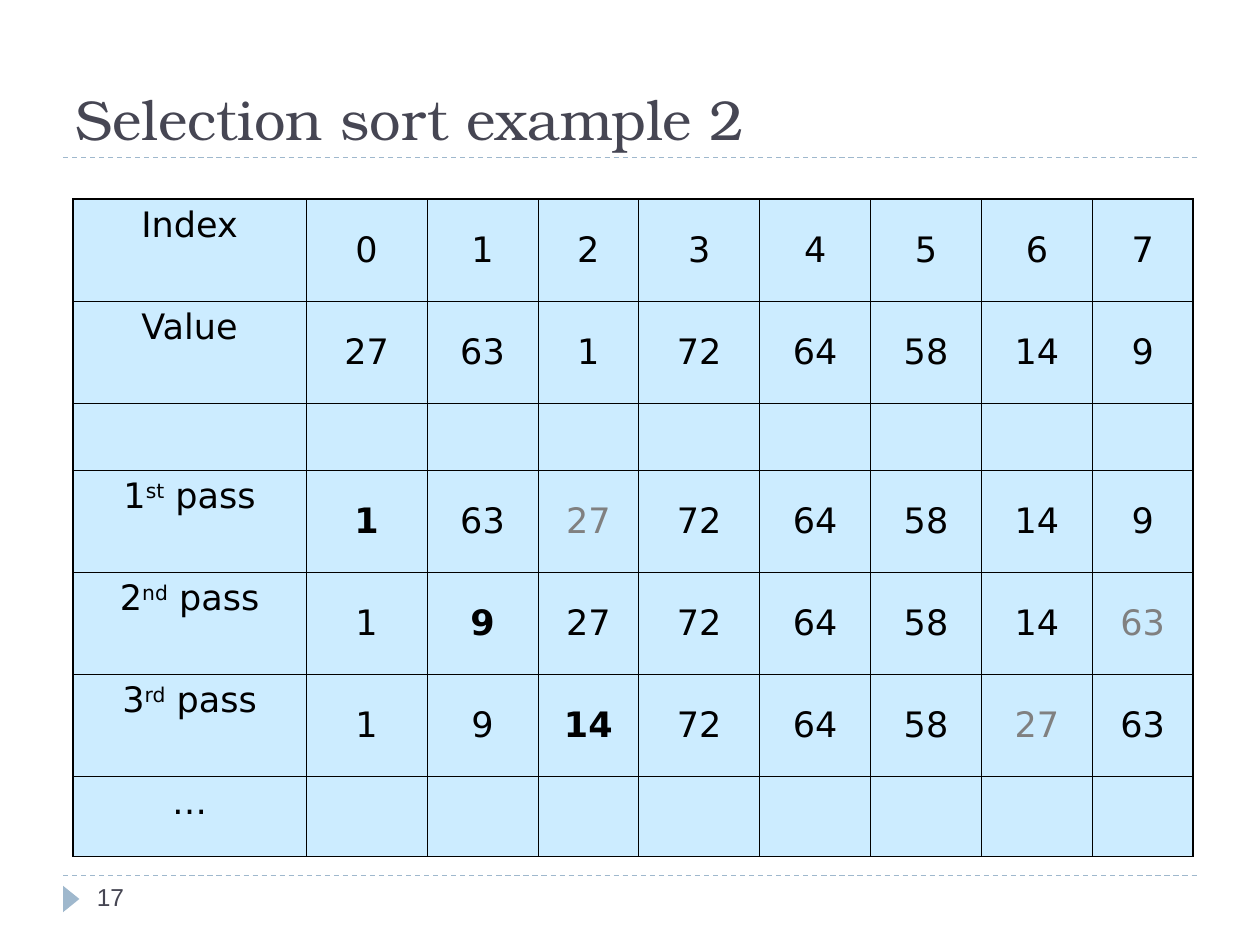
from lxml import etree
from pptx import Presentation
from pptx.dml.color import RGBColor
from pptx.enum.dml import MSO_LINE
from pptx.enum.shapes import MSO_CONNECTOR, MSO_SHAPE
from pptx.enum.text import MSO_ANCHOR, PP_ALIGN
from pptx.oxml.ns import qn
from pptx.util import Inches, Pt

STRAIGHT = MSO_CONNECTOR.STRAIGHT
TRIANGLE = MSO_SHAPE.ISOSCELES_TRIANGLE
DASH = MSO_LINE.DASH
TOP, MIDDLE, BOTTOM = MSO_ANCHOR.TOP, MSO_ANCHOR.MIDDLE, MSO_ANCHOR.BOTTOM
CENTER = PP_ALIGN.CENTER

ACCENT, HEADING, BLACK, GRAY, CELL = "9FB8CD", "464653", "000000", "808080", "CCECFF"


def color(value):
    return RGBColor.from_string(value)


def add_run(paragraph, text, size, font, value):
    run = paragraph.add_run()
    run.text = text
    run.font.size = Pt(size)
    run.font.name = font
    run.font.color.rgb = color(value)
    return run


presentation = Presentation()
presentation.slide_width = Inches(10)
presentation.slide_height = Inches(7.5)
slide = presentation.slides.add_slide(presentation.slide_layouts[6])

for y in (6.95, 1.25):
    rule = slide.shapes.add_connector(STRAIGHT, Inches(0.5), Inches(y), Inches(9.5), Inches(y))
    rule.line.color.rgb = color(ACCENT)
    rule.line.width = Pt(0.75)
    rule.line.dash_style = DASH
    etree.SubElement(rule._element.spPr, qn("a:effectLst"))

marker = slide.shapes.add_shape(TRIANGLE, Inches(0.46), Inches(7.07), Inches(0.21), Inches(0.13))
marker.rotation = 90
marker.shadow.inherit = False
marker.fill.solid()
marker.fill.fore_color.rgb = color(ACCENT)
marker.line.fill.background()

column_widths = [1.85, 0.96, 0.88, 0.8, 0.96, 0.88, 0.88, 0.88, 0.8]
row_heights = [0.81, 0.81, 0.53, 0.81, 0.81, 0.81, 0.64]
start = [27, 63, 1, 72, 64, 58, 14, 9]
first_pass = [1, 63, 27, 72, 64, 58, 14, 9]
second_pass = [1, 9, 27, 72, 64, 58, 14, 63]
third_pass = [1, 9, 14, 72, 64, 58, 27, 63]
blank = [""] * 8
rows = [
    (["Index"], range(8), None),
    (["Value"], start, None),
    ([], blank, None),
    (["1", "st", " pass"], first_pass, start),
    (["2", "nd", " pass"], second_pass, first_pass),
    (["3", "rd", " pass"], third_pass, second_pass),
    (["…"], blank, None),
]
last_row, last_column = len(row_heights) - 1, len(column_widths) - 1

table = slide.shapes.add_table(
    len(row_heights), len(column_widths), Inches(0.58), Inches(1.58), Inches(8.92), Inches(5.19)
).table
table.first_row = False
table.horz_banding = False
for column, width in zip(table.columns, column_widths):
    column.width = Inches(width)
for row, height in zip(table.rows, row_heights):
    row.height = Inches(height)

for row_index, (label, values, previous) in enumerate(rows):
    contents = [label] + [[str(value)] for value in values]
    for column_index, pieces in enumerate(contents):
        cell = table.cell(row_index, column_index)
        outer_sides = {
            "lnL": column_index == 0,
            "lnR": column_index == last_column,
            "lnT": row_index == 0,
            "lnB": row_index == last_row,
        }
        properties = cell._tc.get_or_add_tcPr()
        for side, outer in outer_sides.items():
            border = etree.SubElement(properties, qn(f"a:{side}"), w=str(Pt(1.08 if outer else 0.45)))
            border_fill = etree.SubElement(border, qn("a:solidFill"))
            etree.SubElement(border_fill, qn("a:srgbClr"), val=BLACK)
        cell.fill.solid()
        cell.fill.fore_color.rgb = color(CELL)
        cell.vertical_anchor = MIDDLE if column_index else TOP

        paragraph = cell.text_frame.paragraphs[0]
        paragraph.alignment = CENTER
        paragraph.space_before = Pt(5)
        position = column_index - 1
        changed = column_index > 0 and previous and values[position] != previous[position]
        placed = changed and position == int(label[0]) - 1
        text_color = GRAY if changed and not placed else BLACK
        for piece_index, piece in enumerate(pieces):
            if not piece:
                continue
            run = add_run(paragraph, piece, 20, "DejaVu Sans", text_color)
            run.font.bold = bool(placed)
            if piece_index == 1:
                run._r.get_or_add_rPr().set("baseline", "30000")

texts = [
    ("Selection sort example 2", 0.5, 0.25, 9, 1, BOTTOM, 32, "TeX Gyre Bonum"),
    ("17", 0.67, 6.95, 2.17, 0.4, TOP, 14, "Arial"),
]
for text, left, top, width, height, anchor, size, font in texts:
    box = slide.shapes.add_textbox(Inches(left), Inches(top), Inches(width), Inches(height))
    box.text_frame.word_wrap = True
    box.text_frame.vertical_anchor = anchor
    add_run(box.text_frame.paragraphs[0], text, size, font, HEADING)

presentation.save("out.pptx")
